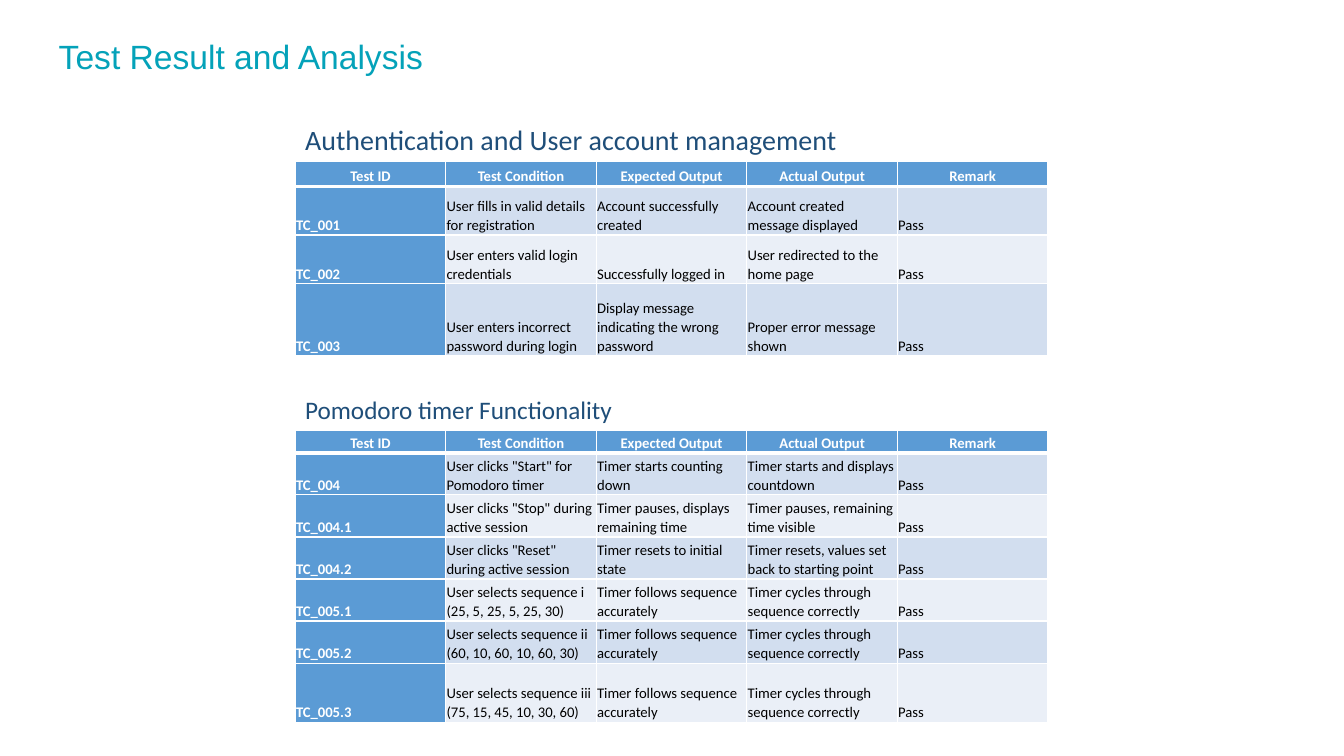
import pptx
import pptx.dml.color
import pptx.enum.text
import pptx.oxml
import pptx.oxml.ns
import pptx.util

Cm = pptx.util.Cm
Pt = pptx.util.Pt
ALIGN = pptx.enum.text.PP_ALIGN
ANCHOR = pptx.enum.text.MSO_ANCHOR

COLORS = {
    "title": "04A2B9",
    "heading": "1F4E79",
    "header": "5B9BD5",
    "odd": "D2DEEF",
    "even": "EAEFF7",
    "white": "FFFFFF",
    "black": "000000",
}
HEADERS = ["Test ID", "Test Condition", "Expected Output", "Actual Output", "Remark"]
FOLLOWS = "Timer follows sequence accurately"
CYCLES = "Timer cycles through sequence correctly"
ACCOUNT_TESTS = [
    ["TC_001", "User fills in valid details for registration",
     "Account successfully created", "Account created message displayed"],
    ["TC_002", "User enters valid login credentials",
     "Successfully logged in", "User redirected to the home page"],
    ["TC_003", "User enters incorrect password during login",
     "Display message indicating the wrong password", "Proper error message shown"],
]
TIMER_TESTS = [
    ["TC_004", 'User clicks "Start" for Pomodoro timer',
     "Timer starts counting down", "Timer starts and displays countdown"],
    ["TC_004.1", 'User clicks "Stop" during active session',
     "Timer pauses, displays remaining time", "Timer pauses, remaining time visible"],
    ["TC_004.2", 'User clicks "Reset" during active session',
     "Timer resets to initial state", "Timer resets, values set back to starting point"],
    ["TC_005.1", "User selects sequence i (25, 5, 25, 5, 25, 30)", FOLLOWS, CYCLES],
    ["TC_005.2", "User selects sequence ii (60, 10, 60, 10, 60, 30)", FOLLOWS, CYCLES],
    ["TC_005.3", "User selects sequence iii (75, 15, 45, 10, 30, 60)", FOLLOWS, CYCLES],
]
LEFT = 7.44
TABLE_WIDTH = 18.97


class TestReportSlide:
    """Holds the slide and its style, and adds each kind of element."""

    def __init__(self, presentation):
        self.slide = presentation.slides.add_slide(presentation.slide_layouts[5])

    def set_attributes(self, target, values):
        for name, value in values.items():
            setattr(target, name, value)

    def add_text(self, paragraph, text, color, size, font="Calibri", bold=False):
        run = paragraph.add_run()
        run.text = text
        self.set_attributes(run.font, {"name": font, "size": Pt(size), "bold": bold})
        run.font.color.rgb = pptx.dml.color.RGBColor.from_string(COLORS[color])

    def add_title(self, text):
        title = self.slide.shapes.title
        self.set_attributes(title, {"left": Cm(1.48), "top": Cm(0.87),
                                    "width": Cm(10.82), "height": Cm(1.07)})
        self.set_attributes(title.text_frame, {
            "margin_left": 0, "margin_right": 0, "margin_top": Cm(0.03), "margin_bottom": 0,
            "vertical_anchor": ANCHOR.MIDDLE, "word_wrap": True,
            "auto_size": pptx.enum.text.MSO_AUTO_SIZE.NONE})
        paragraph = title.text_frame.paragraphs[0]
        paragraph.alignment = ALIGN.LEFT
        self.add_text(paragraph, text, "title", 24, "Arial")

    def add_heading(self, text, top, width, height, size):
        box = self.slide.shapes.add_textbox(Cm(LEFT), Cm(top), Cm(width), Cm(height))
        box.text_frame.word_wrap = True
        self.add_text(box.text_frame.paragraphs[0], text, "heading", size)

    def add_borders(self, cell, widths):
        properties = cell._tc.get_or_add_tcPr()
        for side, width in widths.items():
            properties.append(pptx.oxml.parse_xml(
                f'<a:ln{side} {pptx.oxml.ns.nsdecls("a")} w="{Pt(width)}"><a:solidFill>'
                f'<a:srgbClr val="{COLORS["white"]}"/></a:solidFill></a:ln{side}>'))

    def fill_cell(self, cell, text, row, column):
        is_header = row == 0
        is_label = is_header or column == 0
        self.set_attributes(cell, {
            "margin_left": Cm(0.02), "margin_right": Cm(0.02), "margin_top": Cm(0.02),
            "margin_bottom": Cm(0.02), "vertical_anchor": ANCHOR.BOTTOM})
        self.add_borders(cell, {"L": 1, "R": 1, "T": 3 if row == 1 else 1,
                                "B": 3 if is_header else 1})
        fill = "header" if is_label else "odd" if row % 2 else "even"
        cell.fill.solid()
        cell.fill.fore_color.rgb = pptx.dml.color.RGBColor.from_string(COLORS[fill])
        paragraph = cell.text_frame.paragraphs[0]
        self.set_attributes(paragraph, {
            "alignment": ALIGN.CENTER if is_header else ALIGN.LEFT, "line_spacing": 1.07})
        self.add_text(paragraph, text, "white" if is_label else "black", 10.5, bold=is_label)

    def add_test_table(self, tests, top, heights):
        rows = [HEADERS] + [test + ["Pass"] for test in tests]
        table = self.slide.shapes.add_table(
            len(rows), len(HEADERS), Cm(LEFT), Cm(top),
            Cm(TABLE_WIDTH), Cm(sum(heights))).table
        self.set_attributes(table, {"first_row": True, "first_col": True,
                                    "horz_banding": False})
        for row, (texts, height) in enumerate(zip(rows, heights)):
            table.rows[row].height = Cm(height)
            for column, text in enumerate(texts):
                self.fill_cell(table.cell(row, column), text, row, column)


def main():
    presentation = pptx.Presentation()
    presentation.slide_width = Cm(33.87)
    presentation.slide_height = Cm(19.05)
    report = TestReportSlide(presentation)
    report.add_title("Test Result and Analysis")
    report.add_test_table(ACCOUNT_TESTS, 4.07, [0.63, 1.22, 1.23, 1.82])
    report.add_test_table(TIMER_TESTS, 10.85, [0.56] + [1.06] * 5 + [1.5])
    report.add_heading("Authentication and User account management", 2.95, TABLE_WIDTH, 1.11, 20)
    report.add_heading("Pomodoro timer Functionality", 9.81, 16.93, 1.03, 18)
    presentation.save("out.pptx")


if __name__ == "__main__":
    main()
